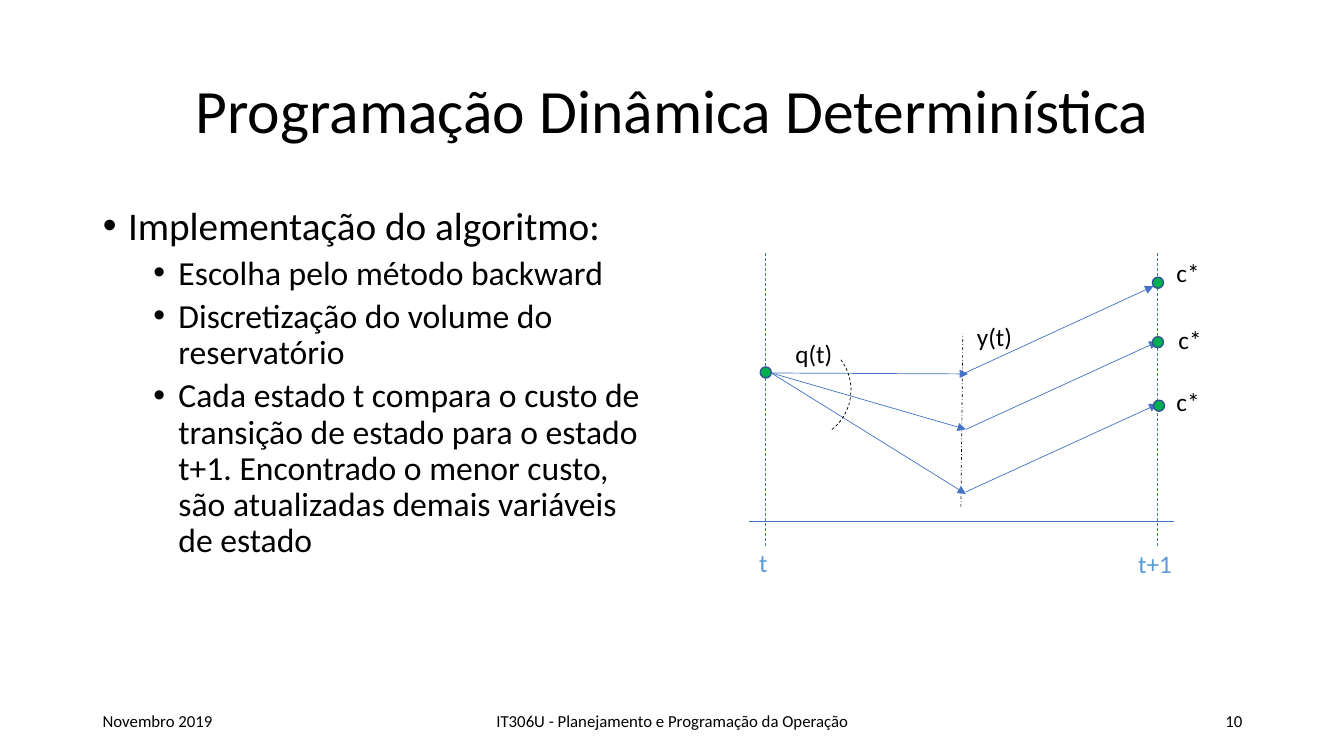
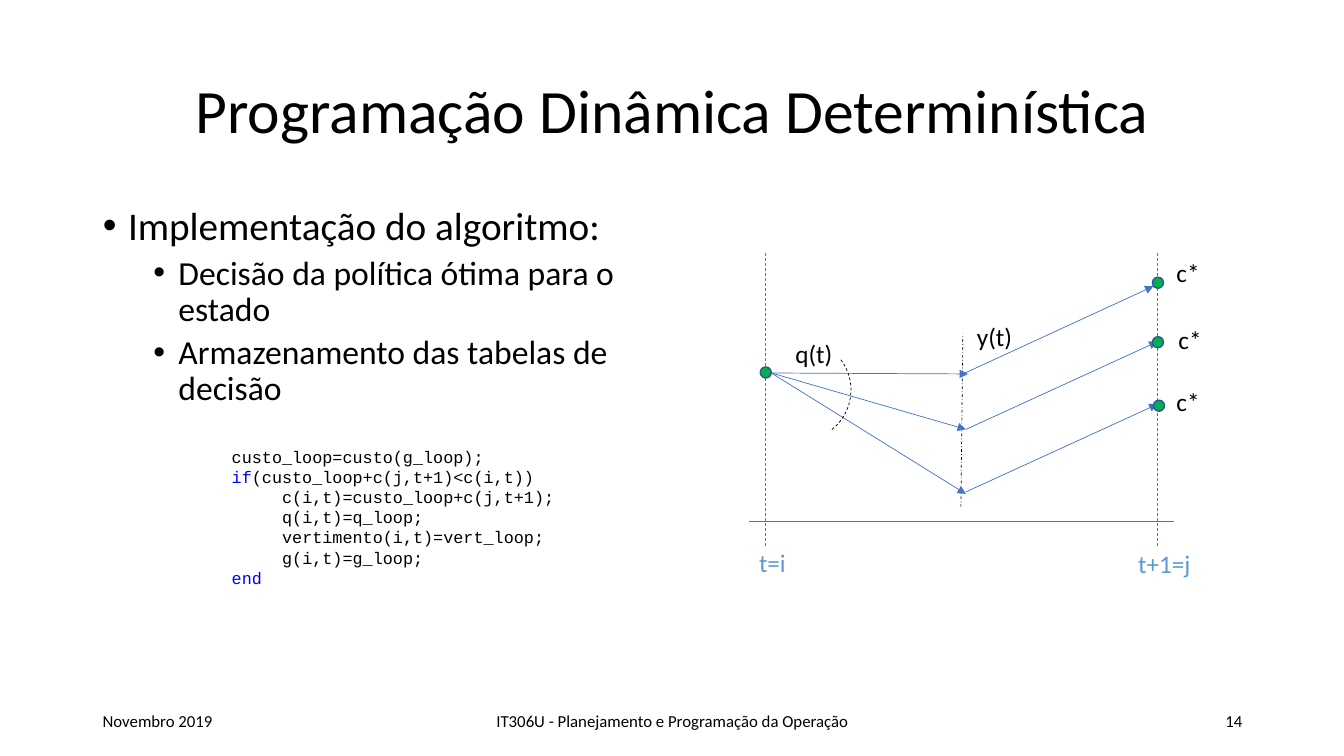
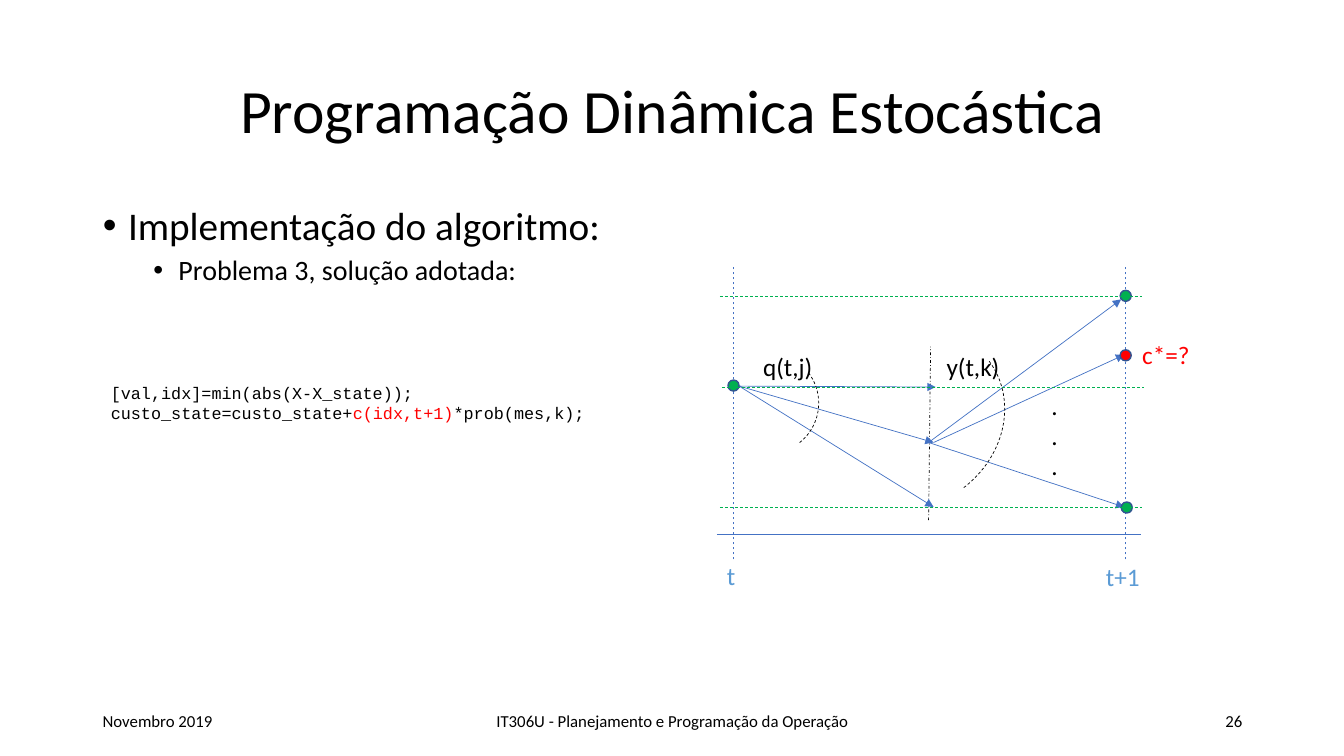
from lxml import etree
from pptx import Presentation
from pptx.dml.color import RGBColor
from pptx.enum import dml, shapes, text
from pptx.oxml import ns
from pptx.util import Inches, Pt

COLORS = {
    "ink": "000000",
    "line": "4472C4",
    "period": "5B9BD5",
    "state": "00B050",
    "state_edge": "325491",
    "keyword": "0000FF",
    "alert": "FF0000",
}
TEXT_FONT, CODE_FONT = "Calibri", "Courier New"
TITLE_BOX = (0.92, 0.4, 11.5, 1.45)
BODY_BOX = (0.92, 2, 5.67, 4.76)
LABEL_HEIGHT = 0.4
DOT_SIZE = 0.11
ARC_TURN = 53
DASH = dml.MSO_LINE.DASH
FOOTER_TOP = 6.95
LEFT, CENTER, RIGHT = text.PP_ALIGN.LEFT, text.PP_ALIGN.CENTER, text.PP_ALIGN.RIGHT


def rgb(color):
    return RGBColor.from_string(COLORS[color])


def place(shape, box):
    shape.left, shape.top, shape.width, shape.height = map(Inches, box)


def style_runs(paragraph, size, color="ink", font=TEXT_FONT):
    for run in paragraph.runs:
        run.font.size = Pt(size)
        run.font.name = font
        run.font.color.rgb = rgb(color)


def indent(paragraph, margin, first=0):
    properties = paragraph._p.get_or_add_pPr()
    properties.set("marL", str(Inches(margin)))
    properties.set("indent", str(Inches(first)))
    return properties


def add_bullet(paragraph, margin):
    properties = indent(paragraph, margin, -0.25)
    etree.SubElement(properties, ns.qn("a:buFont")).set("typeface", "Arial")
    etree.SubElement(properties, ns.qn("a:buChar")).set("char", "•")


def add_text_box(slide, box, words, size, color="ink", align=LEFT, wrap=True):
    frame = slide.shapes.add_textbox(*map(Inches, box)).text_frame
    frame.word_wrap = wrap
    frame.text = words
    for paragraph in frame.paragraphs:
        paragraph.alignment = align
        style_runs(paragraph, size, color)
    return frame


def add_title(slide, words):
    title = slide.shapes.title
    place(title, TITLE_BOX)
    frame = title.text_frame
    frame.text = words
    frame.auto_size = text.MSO_AUTO_SIZE.NONE
    frame.vertical_anchor = text.MSO_ANCHOR.MIDDLE
    heading = frame.paragraphs[0]
    heading.alignment = CENTER
    heading.line_spacing = 0.9
    style_runs(heading, 44)


def add_body(slide, items, item_size):
    body = slide.placeholders[1]
    place(body, BODY_BOX)
    frame = body.text_frame
    frame.text = "\n".join(["Implementação do algoritmo:", *items])
    frame.auto_size = text.MSO_AUTO_SIZE.NONE
    for number, paragraph in enumerate(frame.paragraphs):
        is_item = number > 0
        paragraph.level = int(is_item)
        paragraph.line_spacing = 0.9
        paragraph.space_before = Pt(5 if is_item else 10)
        add_bullet(paragraph, 0.75 if is_item else 0.25)
        style_runs(paragraph, item_size if is_item else 28)


def add_footer(slide, number):
    for left, width, words, align in (
        (0.92, 3, "Novembro 2019", LEFT),
        (4.42, 4.5, "IT306U - Planejamento e Programação da Operação", CENTER),
        (9.42, 3, str(number), RIGHT),
    ):
        frame = add_text_box(slide, (left, FOOTER_TOP, width, 0.4), words, 12, align=align)
        frame.vertical_anchor = text.MSO_ANCHOR.MIDDLE


def add_code(slide, box, lines):
    """Each line is (level, [(words, color), ...])."""
    frame = add_text_box(slide, box, "", 12)
    for number, (level, pieces) in enumerate(lines):
        paragraph = frame.add_paragraph() if number else frame.paragraphs[0]
        if level:
            paragraph.level = level
            indent(paragraph, 0.5 * level)
        for words, color in pieces:
            run = paragraph.add_run()
            run.text = words
            run.font.size = Pt(12)
            run.font.name = CODE_FONT
            run.font.color.rgb = rgb(color)


class Diagram:
    """Drawing whose parts are placed relative to its top left corner."""

    def __init__(self, slide, left, top):
        self.slide, self.left, self.top = slide, left, top

    def box(self, x, y, width, height):
        return self.left + x, self.top + y, width, height

    def line(self, start, end, color="line", dash=None, arrow=False):
        ends = [Inches(base + offset) for point in (start, end)
                for base, offset in zip((self.left, self.top), point)]
        link = self.slide.shapes.add_connector(shapes.MSO_CONNECTOR.STRAIGHT, *ends)
        link.line.color.rgb = rgb(color)
        link.line.width = Pt(0.5)
        if dash:
            link.line.dash_style = dash
        if arrow:
            tail = etree.SubElement(link.line._get_or_add_ln(), ns.qn("a:tailEnd"))
            tail.set("type", "triangle")
        etree.SubElement(link._element.spPr, ns.qn("a:effectLst"))

    def dot(self, x, y, color="state"):
        dot = self.slide.shapes.add_shape(
            shapes.MSO_SHAPE.OVAL, *map(Inches, self.box(x, y, DOT_SIZE, DOT_SIZE)))
        dot.shadow.inherit = False
        dot.fill.solid()
        dot.fill.fore_color.rgb = rgb(color)
        dot.line.color.rgb = rgb("state_edge")
        dot.line.width = Pt(1)

    def arc(self, x, y, width, height):
        arc = self.slide.shapes.add_shape(
            shapes.MSO_SHAPE.ARC, *map(Inches, self.box(x, y, width, height)))
        arc.shadow.inherit = False
        arc.rotation = ARC_TURN
        arc.fill.background()
        arc.line.color.rgb = rgb("ink")
        arc.line.width = Pt(0.5)
        arc.line.dash_style = DASH

    def label(self, x, y, width, words, color="ink", height=LABEL_HEIGHT):
        frame = add_text_box(self.slide, self.box(x, y, width, height),
                             words, 18, color, wrap=False)
        frame.auto_size = text.MSO_AUTO_SIZE.SHAPE_TO_FIT_TEXT


def add_stage(diagram, now, later, flow):
    """Axes, decisions leaving the state at t, and labels given as (words, width)."""
    diagram.line((0, 2.67), (4.21, 2.67))
    for x in (4.05, 0.16):
        diagram.line((x, 2.92), (x, 0), dash=DASH)
    diagram.line((2.1, 2.53), (2.12, 0.81), "ink", dml.MSO_LINE.DASH_DOT)
    for start, end in (((0.13, 1.2), (2.17, 1.21)),
                       ((0.22, 1.2), (2.15, 1.76)),
                       ((0.22, 1.2), (2.15, 2.4))):
        diagram.line(start, end, arrow=True)
    for x, y, (words, width), color in ((0, 2.88, now, "period"),
                                        (3.76, 2.89, later, "period"),
                                        (0.36, 0.81, flow, "ink")):
        diagram.label(x, y, width, words, color)
    diagram.arc(0.01, 0.87, 1, 1)
    diagram.dot(0.11, 1.14)


def add_deterministic_diagram(slide, left, top, now, later):
    diagram = Diagram(slide, left, top)
    add_stage(diagram, now, later, ("q(t)", 0.57))
    diagram.label(2.16, 0.64, 0.55, "y(t)")
    for start, end, dot, cost in (
        ((2.12, 1.21), (4.01, 0.34), (4, 0.25), (4.14, 0)),
        ((2.15, 1.76), (4.05, 0.89), (4, 0.84), (4.16, 0.67)),
        ((2.15, 2.38), (4.05, 1.51), (4.01, 1.47), (4.14, 1.28)),
    ):
        diagram.line(start, end, arrow=True)
        diagram.dot(*dot)
        diagram.label(*cost, 0.44, "c*")


def add_stochastic_diagram(slide, left, top):
    diagram = Diagram(slide, left, top)
    add_stage(diagram, ("t", 0.29), ("t+1", 0.54), ("q(t,j)", 0.7))
    diagram.label(2.18, 0.81, 0.73, "y(t,k)")
    for start, end, dot, color in (
        ((2.1, 1.76), (4.01, 0.34), (4, 0.25), "state"),
        ((2.15, 1.76), (4.04, 0.89), (4, 0.84), "alert"),
        ((2.1, 1.76), (4.04, 2.4), (4.01, 2.35), "state"),
    ):
        diagram.line(start, end, arrow=True)
        diagram.dot(*dot, color)
    diagram.label(3.22, 1.19, 0.27, ".\n.\n.", height=1.01)
    diagram.arc(1.08, 0.57, 1.7, 1.93)
    diagram.label(4.12, 0.69, 0.68, "c*=?", "alert")
    for x, y in ((0.03, 0.31), (0.05, 1.21), (0.03, 2.4)):
        diagram.line((x, y), (x + 4.19, y), "state", DASH)


def add_slide(deck, title, number, items, item_size=24):
    slide = deck.slides.add_slide(deck.slide_layouts[1])
    add_title(slide, title)
    add_body(slide, items, item_size)
    add_footer(slide, number)
    return slide


def main():
    deck = Presentation()
    deck.slide_width, deck.slide_height = Inches(13.33), Inches(7.5)
    deterministic = "Programação Dinâmica Determinística"

    method = add_slide(deck, deterministic, 10, [
        "Escolha pelo método backward",
        "Discretização do volume do reservatório",
        "Cada estado t compara o custo de transição de estado para o estado t+1. "
        "Encontrado o menor custo, são atualizadas demais variáveis de estado",
    ])
    add_deterministic_diagram(method, 7.43, 2.5, ("t", 0.29), ("t+1", 0.54))

    policy = add_slide(deck, deterministic, 14, [
        "Decisão da política ótima para o estado",
        "Armazenamento das tabelas de decisão",
    ])
    add_deterministic_diagram(policy, 7.43, 2.5, ("t=i", 0.47), ("t+1=j", 0.73))
    add_code(policy, (2.2, 4.38, 3.44, 1.51), [
        (0, [("custo_loop=custo(g_loop);", "ink")]),
        (0, [("if", "keyword"), ("(custo_loop+c(j,t+1)<c(i,t))", "ink")]),
        (1, [("c(i,t)=custo_loop+c(j,t+1);", "ink")]),
        (1, [("q(i,t)=q_loop;", "ink")]),
        (1, [("vertimento(i,t)=vert_loop;", "ink")]),
        (1, [("g(i,t)=g_loop;", "ink")]),
        (0, [("end", "keyword")]),
    ])

    stochastic = add_slide(deck, "Programação Dinâmica Estocástica", 26,
                           ["Problema 3, solução adotada:"], item_size=20)
    add_code(stochastic, (1, 3.75, 5.28, 0.5), [
        (0, [("[val,idx]=min(abs(X-X_state));", "ink")]),
        (0, [("custo_state=custo_state+", "ink"), ("c(idx,t+1)", "alert"),
             ("*prob(mes,k);", "ink")]),
    ])
    add_stochastic_diagram(stochastic, 7.11, 2.63)

    deck.save("out.pptx")


if __name__ == "__main__":
    main()
